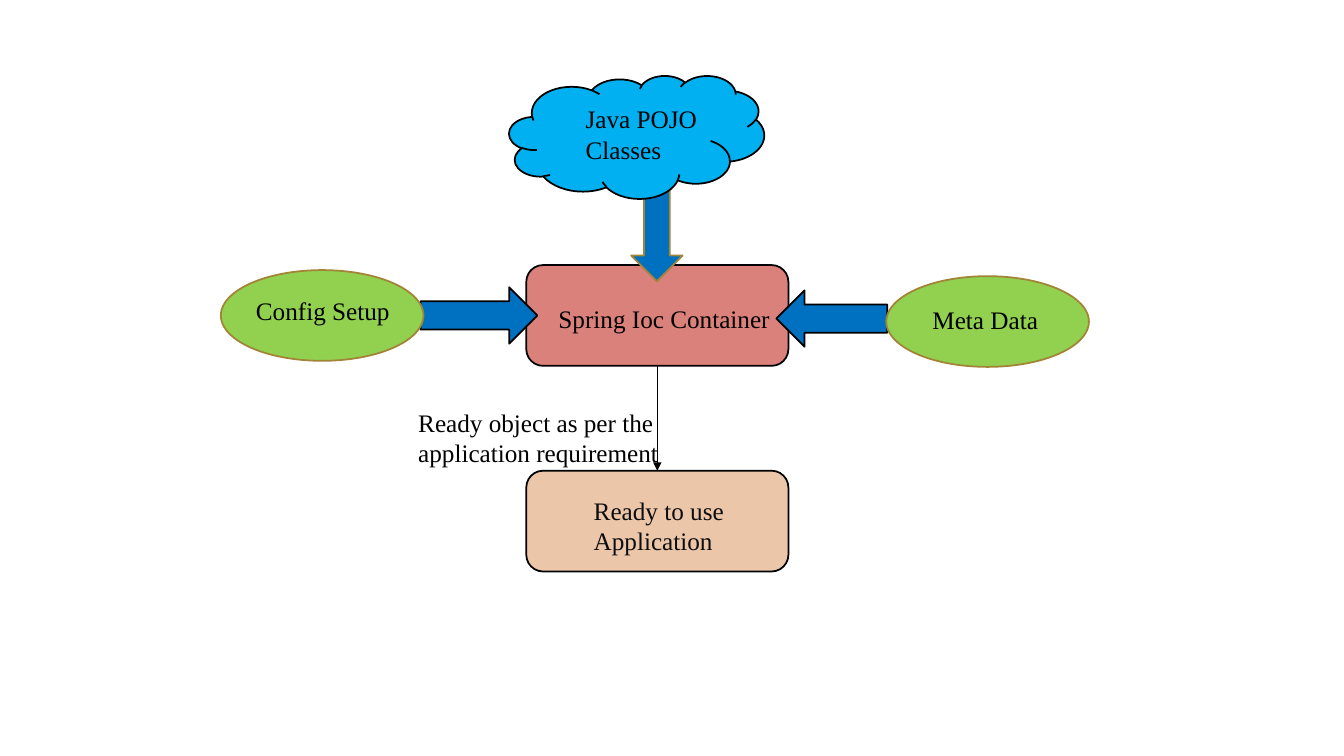
from dataclasses import dataclass

from lxml import etree
from pptx import Presentation
from pptx.dml.color import RGBColor
from pptx.enum.shapes import MSO_CONNECTOR as Connector, MSO_SHAPE as Shape
from pptx.enum.text import MSO_AUTO_SIZE as AutoSize
from pptx.oxml.ns import qn
from pptx.util import Inches, Pt

TOP, BOTTOM = 0, 2


@dataclass(frozen=True)
class Theme:
    font: str = "Times New Roman"
    text_size: float = 18
    outline_width: float = 1.25
    arrow_width: float = 0.75
    black: str = "000000"
    soft_black: str = "0D0D0D"
    gold: str = "A18435"
    red: str = "DB817B"
    sand: str = "ECC6A9"
    blue: str = "0070C0"
    sky: str = "00B0F0"
    green: str = "92D050"


class DiagramSlide:
    def __init__(self, page, theme):
        self.page = page
        self.theme = theme

    def shape(self, kind, left, top, width, height, fill, line=None, rotation=0):
        box = self.page.shapes.add_shape(
            kind, Inches(left), Inches(top), Inches(width), Inches(height))
        box.shadow.inherit = False
        box.rotation = rotation
        box.fill.solid()
        box.fill.fore_color.rgb = RGBColor.from_string(fill)
        box.line.color.rgb = RGBColor.from_string(line or self.theme.black)
        box.line.width = Pt(self.theme.outline_width)
        return box

    def label(self, text, left, top, width, height=0.4, color=None):
        box = self.page.shapes.add_textbox(
            Inches(left), Inches(top), Inches(width), Inches(height))
        frame = box.text_frame
        frame.word_wrap = True
        frame.auto_size = AutoSize.SHAPE_TO_FIT_TEXT
        para = frame.paragraphs[0]
        para.text = text
        para.font.name = self.theme.font
        para.font.size = Pt(self.theme.text_size)
        para.font.color.rgb = RGBColor.from_string(color or self.theme.black)

    def arrow_down(self, upper, lower):
        """Join the bottom of one box to the top of another."""
        arrow = self.page.shapes.add_connector(Connector.STRAIGHT, 0, 0, 0, 0)
        arrow.begin_connect(upper, BOTTOM)
        arrow.end_connect(lower, TOP)
        arrow.line.color.rgb = RGBColor.from_string(self.theme.black)
        arrow.line.width = Pt(self.theme.arrow_width)
        properties = arrow.line._get_or_add_ln()
        etree.SubElement(properties, qn("a:tailEnd"), type="triangle")
        etree.SubElement(arrow._element.spPr, qn("a:effectLst"))


def main():
    deck = Presentation()
    deck.slide_width, deck.slide_height = Inches(13.33), Inches(7.5)
    theme = Theme()
    slide = DiagramSlide(deck.slides.add_slide(deck.slide_layouts[6]), theme)

    container, application = (
        slide.shape(Shape.ROUNDED_RECTANGLE, 5.22, top, 2.6, 1, fill)
        for top, fill in ((2.63, theme.red), (4.67, theme.sand)))
    slide.arrow_down(container, application)
    slide.shape(Shape.DOWN_ARROW, 6.26, 1.89, 0.51, 0.9, theme.blue, theme.gold)
    slide.label("Spring Ioc Container", 5.44, 2.96, 2.38)
    slide.label("Ready to use Application", 5.79, 4.86, 2.12, 0.71, theme.soft_black)

    slide.shape(Shape.CLOUD, 5.05, 0.75, 2.53, 1.22, theme.sky)
    slide.label("Java POJO Classes", 5.71, 0.98, 1.6, 0.71)

    slide.shape(Shape.RIGHT_ARROW, 4.17, 2.85, 1.16, 0.56, theme.blue)
    slide.shape(Shape.RIGHT_ARROW, 7.7, 2.88, 1.1, 0.56, theme.blue, rotation=180)
    for left, top in ((8.79, 2.74), (2.19, 2.68)):
        slide.shape(Shape.OVAL, left, top, 2.01, 0.9, theme.green, theme.gold)
    slide.label("Meta Data", 9.15, 2.97, 1.54)
    slide.label("Config Setup", 2.44, 2.88, 1.65)
    slide.label("Ready object as per the application requirement",
                4.05, 3.99, 2.73, 0.71)

    deck.save("out.pptx")


if __name__ == "__main__":
    main()
